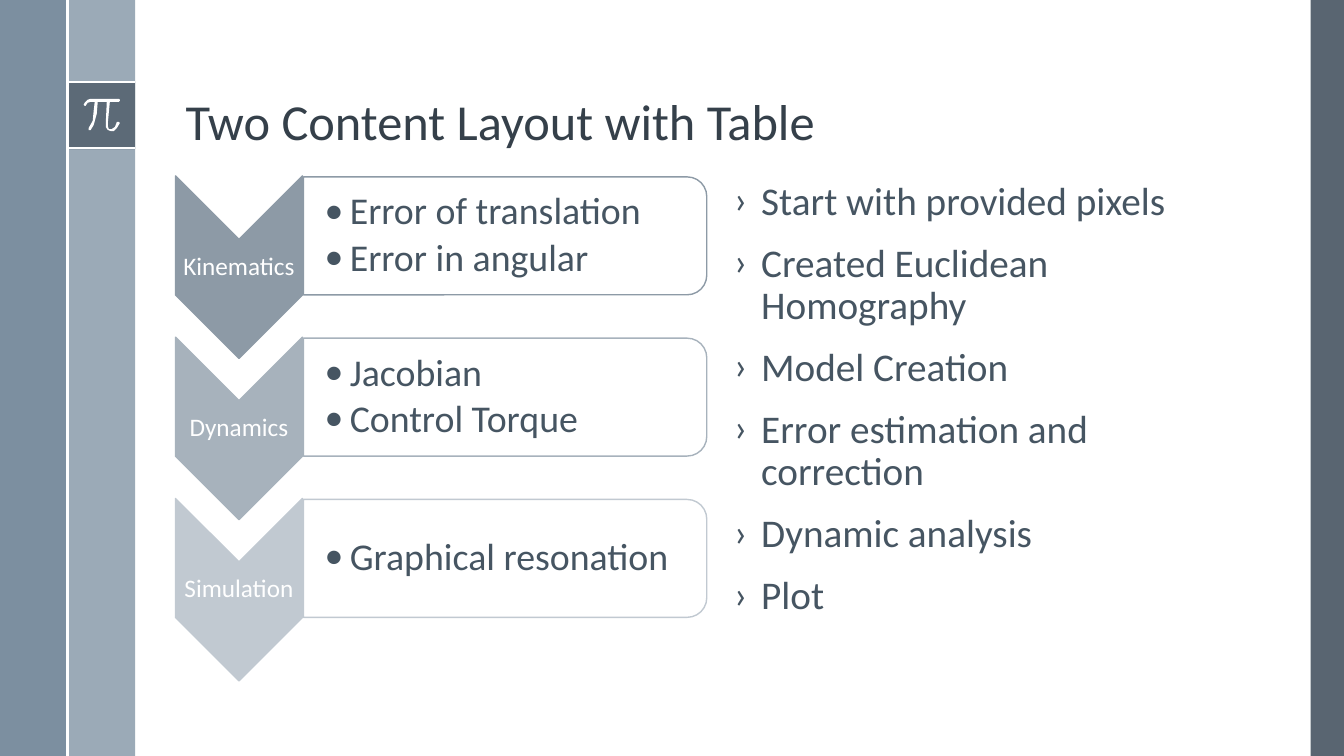
import dataclasses
import typing

import lxml.etree
import pptx
import pptx.dml.color
import pptx.enum.shapes
import pptx.enum.text
import pptx.oxml.ns
import pptx.util

Inches = pptx.util.Inches
Pt = pptx.util.Pt
Kind = pptx.enum.shapes.MSO_SHAPE
Align = pptx.enum.text.PP_ALIGN
Anchor = pptx.enum.text.MSO_ANCHOR
qn = pptx.oxml.ns.qn

FONT = "Calibri"
INK = "465562"
WHITE = "FFFFFF"
STEP = 1.6  # distance between stages


@dataclasses.dataclass
class Band:
    left: float
    top: float
    width: float
    height: float
    color: str
    alpha: int = 100


@dataclasses.dataclass
class Rule:
    x1: float
    y1: float
    x2: float
    y2: float


@dataclasses.dataclass
class Stage:
    name: str
    color: str
    items: list[str]


BANDS = [
    Band(13, 0, 0.33, 7.5, "475562", 90),
    Band(0.67, 0, 0.67, 7.5, "9BAAB7"),
    Band(0, 0, 0.67, 7.5, "6A8093", 88),
    Band(0.67, 0.81, 0.67, 0.67, "475562", 75),
]
RULES = [
    Rule(0.67, 0.81, 1.34, 0.81),
    Rule(0.67, 1.47, 1.34, 1.47),
    Rule(0.67, 0, 0.67, 7.5),
]
STAGES = [
    Stage("Kinematics", "8D9AA6", ["Error of translation", "Error in angular"]),
    Stage("Dynamics", "A7B2BC", ["Jacobian", "Control Torque"]),
    Stage("Simulation", "C1C9D1", ["Graphical resonation"]),
]
TASKS = [
    "Start with provided pixels",
    "Created Euclidean Homography",
    "Model Creation",
    "Error estimation and correction",
    "Dynamic analysis",
    "Plot",
]
# Outline of the pi sign, in hundredths of an inch
PI = [
    (118, 98), (90, 98), (87, 99), (84.5, 101.5), (83, 104), (84, 105),
    (85, 105), (87, 102), (90, 101), (94, 101), (93.4, 110), (91.5, 120),
    (88, 127), (87.6, 128.2), (88.4, 129), (90, 129), (93, 123.5),
    (95.5, 113), (97, 101), (106, 101), (105, 122), (105.2, 126),
    (107, 129), (110, 130), (113, 129.8), (116.5, 127), (119, 122),
    (118, 121), (116.3, 121.3), (114.5, 125.5), (111, 128), (108.5, 127.5),
    (107.3, 125), (107, 122), (109, 101), (118, 101), (119, 100), (119, 99),
]


def rgb(color: str) -> pptx.dml.color.RGBColor:
    return pptx.dml.color.RGBColor.from_string(color)


def paint(shape: typing.Any, color: str, alpha: int = 100, line: str = "") -> None:
    shape.shadow.inherit = False
    shape.fill.solid()
    shape.fill.fore_color.rgb = rgb(color)
    if alpha < 100:
        tone = shape.fill._xPr.find(qn("a:solidFill"))[0]
        lxml.etree.SubElement(tone, qn("a:alpha"), val=str(alpha * 1000))
    if line:
        shape.line.color.rgb = rgb(line)
        shape.line.width = Pt(1)
    else:
        shape.line.fill.background()


def place(shape: typing.Any, left: float, top: float, width: float, height: float) -> None:
    shape.left, shape.top = Inches(left), Inches(top)
    shape.width, shape.height = Inches(width), Inches(height)


def write(shape: typing.Any, lines: list[str], *, size: float, color: str = INK,
          align: typing.Any = Align.LEFT, anchor: typing.Any = Anchor.MIDDLE,
          inset: typing.Sequence[float] = (0.1, 0.05, 0.1, 0.05),
          mark: str = "", indent: float = 0, before: float = 0, after: float = 0) -> None:
    frame = shape.text_frame
    frame.word_wrap = True
    frame.auto_size = pptx.enum.text.MSO_AUTO_SIZE.NONE
    frame.vertical_anchor = anchor
    (frame.margin_left, frame.margin_top,
     frame.margin_right, frame.margin_bottom) = map(Inches, inset)
    for row, line in enumerate(lines):
        para = frame.add_paragraph() if row else frame.paragraphs[0]
        para.alignment = align
        para.line_spacing = 0.9
        para.space_before, para.space_after = Pt(before), Pt(after)
        run = para.add_run()
        run.text = line
        run.font.name, run.font.size = FONT, Pt(size)
        run.font.color.rgb = rgb(color)
        if mark:
            props = para._p.get_or_add_pPr()
            props.set("marL", str(Inches(indent)))
            props.set("indent", str(-Inches(indent)))
            lxml.etree.SubElement(props, qn("a:buFont"), typeface=FONT)
            lxml.etree.SubElement(props, qn("a:buChar"), char=mark)


def turn(shapes: typing.Any, kind: typing.Any, x: float, y: float,
         width: float, height: float) -> typing.Any:
    """Add a shape centred on x, y and turned a quarter clockwise."""
    shape = shapes.add_shape(kind, Inches(x - width / 2), Inches(y - height / 2),
                             Inches(width), Inches(height))
    shape.rotation = 90
    return shape


def frame_side(shapes: typing.Any) -> None:
    for band in BANDS:
        shape = shapes.add_shape(Kind.RECTANGLE, 0, 0, 0, 0)
        place(shape, band.left, band.top, band.width, band.height)
        paint(shape, band.color, band.alpha)
    pen = shapes.build_freeform(*PI[0], scale=Inches(0.01))
    pen.add_line_segments(PI[1:], close=True)
    paint(pen.convert_to_shape(), WHITE)
    for rule in RULES:
        line = shapes.add_connector(
            pptx.enum.shapes.MSO_CONNECTOR.STRAIGHT,
            Inches(rule.x1), Inches(rule.y1), Inches(rule.x2), Inches(rule.y2))
        line.line.color.rgb = rgb(WHITE)
        line.line.width = Pt(1.5)
        lxml.etree.SubElement(line._element.spPr, qn("a:effectLst"))


def draw_stage(shapes: typing.Any, stage: Stage, drop: float) -> None:
    arrow = turn(shapes, Kind.CHEVRON, 2.37, 2.65 + drop, 1.81, 1.26)
    paint(arrow, stage.color, line=stage.color)
    label = shapes.add_textbox(0, 0, 0, 0)
    place(label, 1.74, 2.38 + drop, 1.26, 0.54)
    write(label, [stage.name], size=18, color=WHITE, align=Align.CENTER,
          inset=[0.01] * 4)
    card = turn(shapes, Kind.ROUND_2_SAME_RECTANGLE, 5.01, 2.34 + drop, 1.17, 4)
    paint(card, WHITE, 90, stage.color)
    points = shapes.add_textbox(0, 0, 0, 0)
    place(points, 3.01, 1.81 + drop, 3.94, 1.06)
    write(points, stage.items, size=27, inset=(0.21, 0.02, 0.02, 0.02),
          mark="•", indent=0.25, after=4)


def main() -> None:
    deck = pptx.Presentation()
    deck.slide_width, deck.slide_height = Inches(13.33), Inches(7.5)
    slide = deck.slides.add_slide(deck.slide_layouts[1])
    shapes = slide.shapes

    # Side bands and pi sign
    frame_side(shapes)

    # Title and task list
    title, body = shapes.title, slide.placeholders[1]
    place(title, 1.74, 0.19, 10.7, 1.36)
    write(title, ["Two Content Layout with Table"], size=36, color="35404A",
          anchor=Anchor.BOTTOM)
    place(body, 7.18, 1.75, 5.27, 5)
    write(body, TASKS, size=28, anchor=Anchor.TOP, mark="›", indent=0.27, before=14)

    # Stages
    for row, stage in enumerate(STAGES):
        draw_stage(shapes, stage, row * STEP)

    deck.save("out.pptx")


if __name__ == "__main__":
    main()
